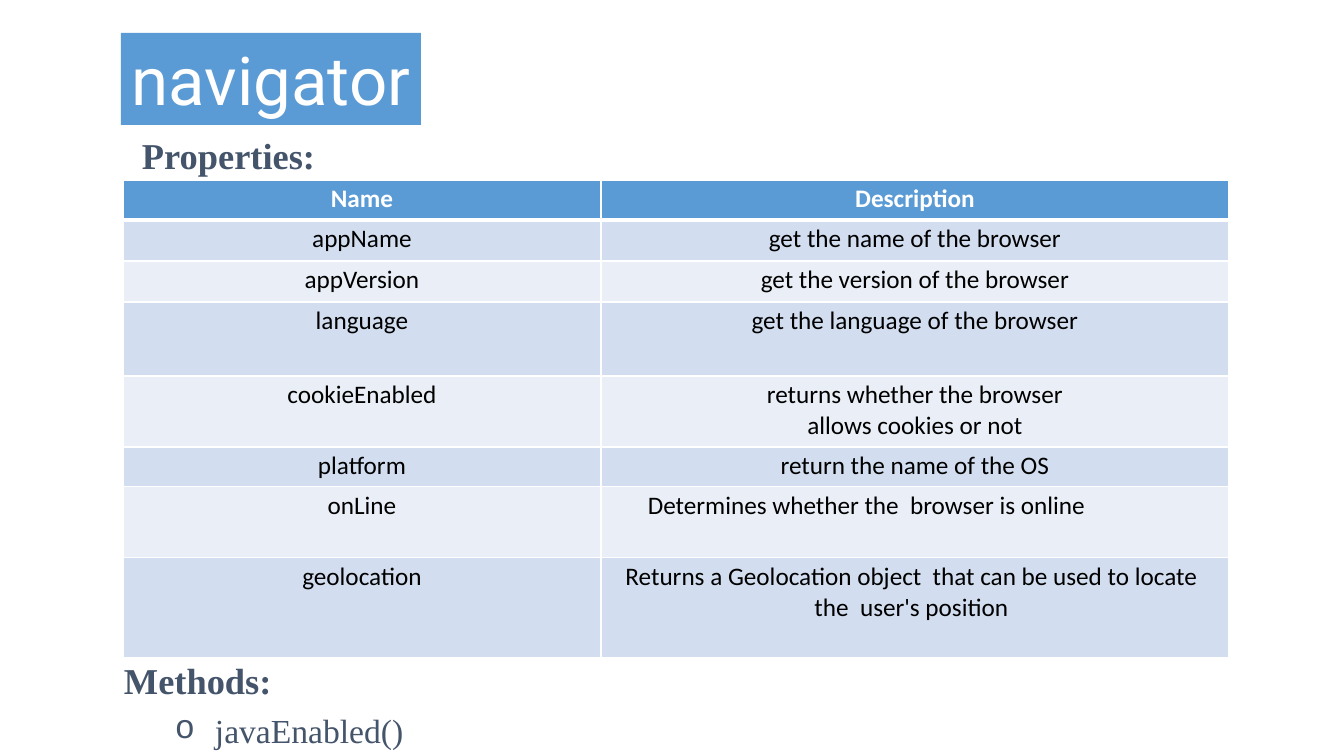
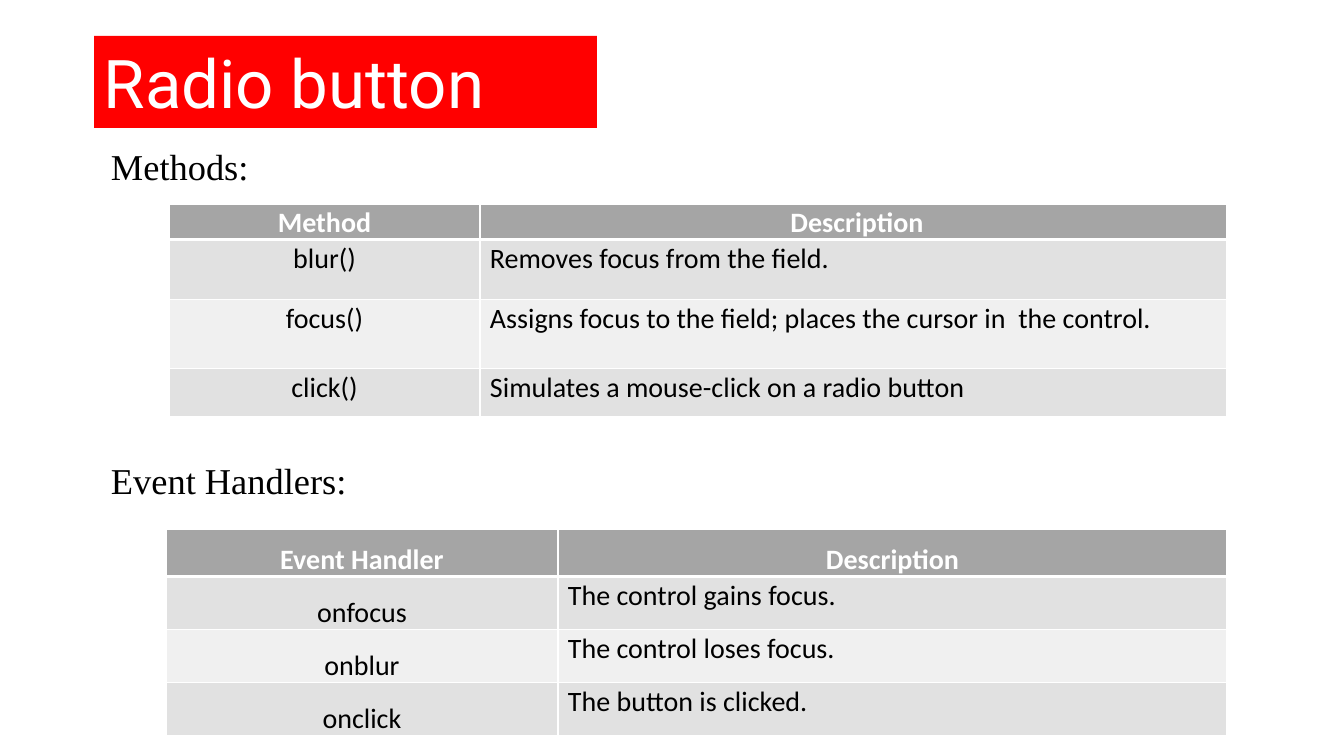
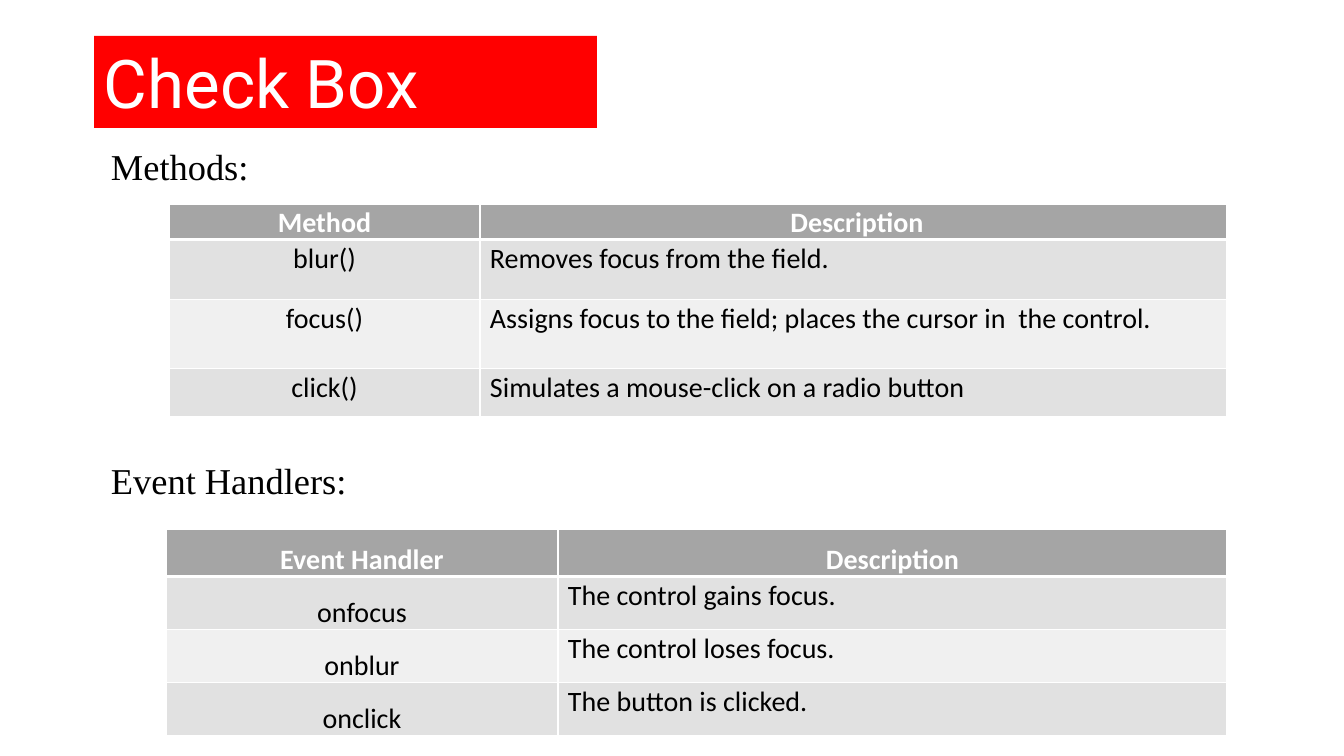
from pptx import Presentation
from pptx.dml.color import RGBColor
from pptx.enum.shapes import MSO_SHAPE
from pptx.enum.text import PP_ALIGN
from pptx.util import Pt
from pptx.oxml.ns import qn
from lxml.etree import SubElement

PX = 914400 / 100.8
WHITE, BLACK, NAVY = "FFFFFF", "000000", "44546A"
BLUE = ("5B9BD5", "D2DEEF", "EAEFF7")
GREY = ("A5A5A5", "E1E1E1", "F0F0F0")
RED = "FF0000"
MID, LEFT = PP_ALIGN.CENTER, PP_ALIGN.LEFT

TITLE = {"name": "Roboto", "size": Pt(48), "bold": False}
LABEL = {"name": "Times New Roman", "size": Pt(26), "bold": False}
STRONG = {**LABEL, "bold": True}
ITEM = {**LABEL, "size": Pt(24)}

PROPS = [
    ("Name", "Description"),
    ("appName", "get the name of the browser"),
    ("appVersion", "get the version of the browser"),
    ("language", "get the language of the browser"),
    ("cookieEnabled", "returns whether the browser\nallows cookies or not"),
    ("platform", "return the name of the OS"),
    ("onLine", "Determines whether the  browser is online"),
    ("geolocation", "Returns a Geolocation object  that can be used "
                    "to locate the  user's position"),
]
METHODS = [
    ("Method", "Description"),
    ("blur()", "Removes focus from the field."),
    ("focus()", "Assigns focus to the field; places the cursor in  the control."),
    ("click()", "Simulates a mouse-click on a radio button"),
]
EVENTS = [
    ("Event Handler", "Description"),
    ("onfocus", "The control gains focus."),
    ("onblur", "The control loses focus."),
    ("onclick", "The button is clicked."),
]


def px(*vals):
    """Turn px lengths into EMU."""
    return [round(v * PX) for v in vals]


def paint(fmt, tone):
    """Fill a shape or a cell with a hex colour."""
    fmt.fill.solid()
    fmt.fill.fore_color.rgb = RGBColor.from_string(tone)


def inset(part, left=0, top=0, right=0, bottom=0):
    """Set the four inner margins in px."""
    sides = {"left": left, "top": top, "right": right, "bottom": bottom}
    for side, val in sides.items():
        setattr(part, "margin_" + side, px(val)[0])


def write(para, text, look, tone, align=LEFT):
    """Put one styled run in a paragraph."""
    para.alignment = align
    run = para.add_run()
    run.text = text
    for key, val in look.items():
        setattr(run.font, key, val)
    run.font.color.rgb = RGBColor.from_string(tone)


def title(slide, box, text, tone, align=LEFT):
    """Draw the coloured title block."""
    block = slide.shapes.add_shape(MSO_SHAPE.RECTANGLE, *px(*box))
    block.shadow.inherit = False
    paint(block, tone)
    block.line.fill.background()
    block.text_frame.word_wrap = True
    write(block.text_frame.paragraphs[0], text, TITLE, WHITE, align)


def label(slide, box, text, look=LABEL, tone=BLACK, top=1):
    """Add a section heading and return its frame."""
    frame = slide.shapes.add_textbox(*px(*box)).text_frame
    frame.word_wrap = True
    inset(frame, 1, top)
    write(frame.paragraphs[0], text, look, tone)
    return frame


def bullet(frame, text):
    """Add an item with a round Courier bullet."""
    para = frame.add_paragraph()
    para.space_before = Pt(5.8)
    write(para, text, ITEM, NAVY)
    props = para._p.get_or_add_pPr()
    left, back = px(91, -40)
    props.set("marL", str(left))
    props.set("indent", str(back))
    SubElement(props, qn("a:buFont"), typeface="Courier New")
    SubElement(props, qn("a:buChar"), char="o")


def edges(cell, row):
    """Draw white borders, thick under the header row."""
    props = cell._tc.get_or_add_tcPr()
    thick = {"T": row == 1, "B": row == 0}
    for spot, side in enumerate("LRTB"):
        width = Pt(3 if thick.get(side) else 1)
        line = SubElement(props, qn("a:ln" + side), w=str(width))
        fill = SubElement(line, qn("a:solidFill"))
        SubElement(fill, qn("a:srgbClr"), val=WHITE)
        props.remove(line)
        props.insert(spot, line)


def grid(slide, spot, cols, rows, data, tones, size, pad, align=MID):
    """Draw a banded table; pad gives the margins of a cell."""
    box = px(*spot, sum(cols), sum(rows))
    table = slide.shapes.add_table(len(rows), len(cols), *box).table
    for col, width in zip(table.columns, px(*cols)):
        col.width = width
    for row, high in zip(table.rows, px(*rows)):
        row.height = high
    for r, line in enumerate(data):
        look = {"name": "Calibri", "size": Pt(size), "bold": r == 0}
        for c, text in enumerate(line):
            cell = table.cell(r, c)
            paint(cell, tones[0 if r == 0 else 2 - r % 2])
            edges(cell, r)
            inset(cell, **pad(r, c))
            side = align if r and c else MID
            for n, part in enumerate(text.split("\n")):
                frame = cell.text_frame
                para = frame.add_paragraph() if n else frame.paragraphs[0]
                write(para, part, look, WHITE if r == 0 else BLACK, side)


def prop_pad(row, col):
    """Give the margins of the property table."""
    wide = {(6, 1): {"left": 0, "right": 97}, (7, 1): {"left": 21, "right": 28}}
    return {"top": 4, **wide.get((row, col), {})}


def method_pad(row, col):
    """Give the margins of the method table."""
    return {"top": 2, "left": (10 if row else 7) * col}


def event_pad(row, col):
    """Give the margins of the event table."""
    return {"top": 14 if row == 0 else (19, 2)[col], "left": 10 * col if row else 0}


def browser(slide):
    """Build the navigator slide."""
    label(slide, (141, 132, 215, 46), "Properties:", STRONG, NAVY)
    frame = label(slide, (123, 648, 555, 104), "Methods:", STRONG, NAVY, 10)
    bullet(frame, "javaEnabled()")
    rows = (40, 41, 41, 74, 71, 40, 71, 100)
    grid(slide, (123, 180), (478, 628), rows, PROPS, BLUE, 18, prop_pad)
    title(slide, (121, 33, 300, 92), "navigator", BLUE[0], MID)


def control(slide, name):
    """Build the slide of one form control."""
    label(slide, (110, 143, 178, 46), "Methods:")
    grid(slide, (169, 204), (311, 747), (34, 60, 69, 48),
         METHODS, GREY, 20, method_pad, LEFT)
    grid(slide, (166, 529), (392, 669), (46, 53, 53, 52),
         EVENTS, GREY, 20, event_pad, LEFT)
    label(slide, (110, 457, 276, 46), "Event Handlers:")
    title(slide, (94, 36, 503, 92), name, RED)


def main():
    """Build and save the deck."""
    deck = Presentation()
    deck.slide_width, deck.slide_height = px(1344, 756)
    blank = deck.slide_layouts[6]
    browser(deck.slides.add_slide(blank))
    for name in ("Radio button", "Check Box"):
        control(deck.slides.add_slide(blank), name)
    deck.save("out.pptx")


if __name__ == "__main__":
    main()
